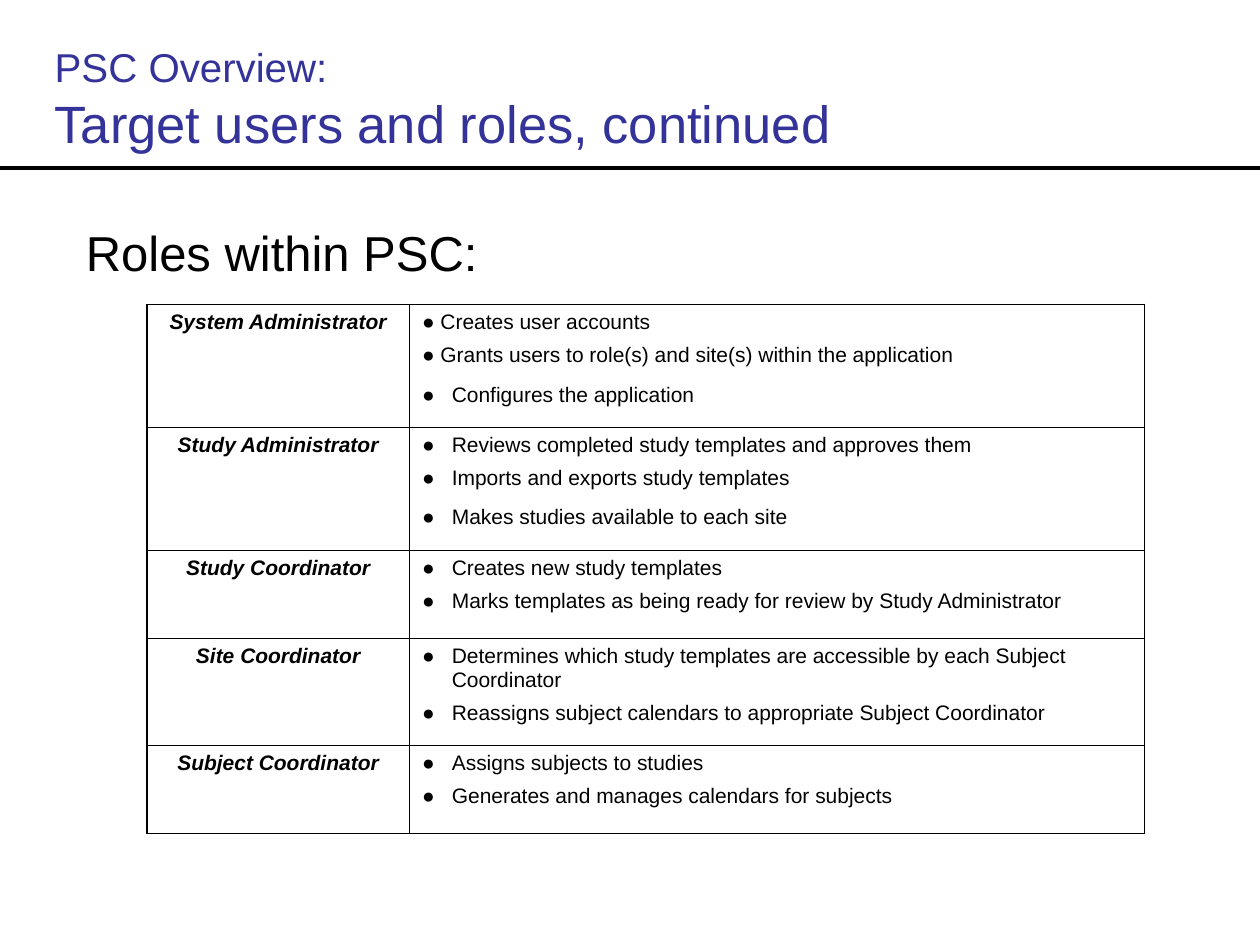
import pptx
import pptx.util
import pptx.dml.color
import pptx.enum.shapes
import pptx.enum.text
import pptx.oxml.ns
import lxml.etree

Pt = pptx.util.Pt
qn = pptx.oxml.ns.qn
Align = pptx.enum.text.PP_ALIGN

TITLE = [("PSC Overview:", "small"), ("Target users and roles, continued", "title")]
HEAD = "Roles within PSC:"
WIDE, TIGHT = 17, 10.5
ROLES = [
    ("System Administrator", 70.2, [
        ("Creates user accounts", TIGHT),
        ("Grants users to role(s) and site(s) within the application", TIGHT),
        ("Configures the application", WIDE)]),
    ("Study Administrator", 70.2, [
        ("Reviews completed study templates and approves them", WIDE),
        ("Imports and exports study templates", WIDE),
        ("Makes studies available to each site", WIDE)]),
    ("Study Coordinator", 50.4, [
        ("Creates new study templates", WIDE),
        ("Marks templates as being ready for review by Study Administrator", WIDE)]),
    ("Site Coordinator", 61.2, [
        ("Determines which study templates are accessible by each Subject Coordinator", WIDE),
        ("Reassigns subject calendars to appropriate Subject Coordinator", WIDE)]),
    ("Subject Coordinator", 50.4, [
        ("Assigns subjects to studies", WIDE),
        ("Generates and manages calendars for subjects", WIDE)]),
]
COLS = [150, 420]
THEME = {
    "font": "Arial", "ink": "000000", "blue": "333399",
    "small": 23, "title": 30, "head": 28, "cell": 12,
    "rule": 2.25, "outer": 1.08, "inner": 0.45,
}


def color(name):
    return pptx.dml.color.RGBColor.from_string(THEME[name])


def write(para, text, size, ink="ink", strong=False):
    run = para.add_run()
    run.text = text
    font = run.font
    font.name = THEME["font"]
    font.size = Pt(THEME[size])
    font.bold = font.italic = strong
    font.color.rgb = color(ink)


def bullet(para, indent):
    props = para._p.get_or_add_pPr()
    props.set("marL", str(Pt(indent)))
    props.set("indent", str(-Pt(indent)))
    lxml.etree.SubElement(props, qn("a:buFont"), typeface=THEME["font"])
    lxml.etree.SubElement(props, qn("a:buChar"), char="●")


def border(cell, row, col):
    props = cell._tc.get_or_add_tcPr()
    edges = {
        "L": col == 0, "R": col == len(COLS) - 1,
        "T": row == 0, "B": row == len(ROLES) - 1,
    }
    for side, outer in edges.items():
        width = Pt(THEME["outer" if outer else "inner"])
        line = lxml.etree.SubElement(props, qn("a:ln" + side), w=str(width))
        fill = lxml.etree.SubElement(line, qn("a:solidFill"))
        lxml.etree.SubElement(fill, qn("a:srgbClr"), val=THEME["ink"])
    cell.fill.background()


def add_title(slide):
    shape = slide.shapes.title
    shape.left, shape.top, shape.width, shape.height = Pt(24), Pt(30), Pt(648), Pt(52)
    frame = shape.text_frame
    frame.auto_size = pptx.enum.text.MSO_AUTO_SIZE.NONE
    frame.vertical_anchor = pptx.enum.text.MSO_ANCHOR.MIDDLE
    para = frame.paragraphs[0]
    para.alignment = Align.LEFT
    for index, (text, size) in enumerate(TITLE):
        if index:
            para.add_line_break()
        write(para, text, size, "blue")


def add_rule(slide):
    line = slide.shapes.add_connector(
        pptx.enum.shapes.MSO_CONNECTOR.STRAIGHT, 0, Pt(96), Pt(720), Pt(96))
    line.line.color.rgb = color("ink")
    line.line.width = Pt(THEME["rule"])
    lxml.etree.SubElement(line._element.spPr, qn("a:effectLst"))


def add_head(slide):
    frame = slide.shapes.add_textbox(Pt(42), Pt(120), Pt(648), Pt(354)).text_frame
    frame.word_wrap = True
    frame.margin_top = Pt(7)
    write(frame.paragraphs[0], HEAD, "head")


def add_roles(slide):
    high = sum(height for _, height, _ in ROLES)
    table = slide.shapes.add_table(
        len(ROLES), len(COLS), Pt(84), Pt(174), Pt(sum(COLS)), Pt(high)).table
    table.first_row = table.horz_banding = False
    for col, width in enumerate(COLS):
        table.columns[col].width = Pt(width)
    for row, (role, height, tasks) in enumerate(ROLES):
        table.rows[row].height = Pt(height)
        name, duty = table.cell(row, 0), table.cell(row, 1)
        para = name.text_frame.paragraphs[0]
        para.alignment = Align.CENTER
        para.space_after = Pt(2.4)
        write(para, role, "cell", strong=True)
        frame = duty.text_frame
        for index, (task, indent) in enumerate(tasks):
            para = frame.add_paragraph() if index else frame.paragraphs[0]
            bullet(para, indent)
            para.space_before = Pt(3 if index else 0)
            para.space_after = Pt(6 if index else 2.4)
            write(para, task, "cell")
        for col, cell in enumerate((name, duty)):
            border(cell, row, col)


def main():
    deck = pptx.Presentation()
    deck.slide_width, deck.slide_height = Pt(720), Pt(540)
    slide = deck.slides.add_slide(deck.slide_layouts[5])
    add_rule(slide)
    add_title(slide)
    add_head(slide)
    add_roles(slide)
    deck.save("out.pptx")


if __name__ == "__main__":
    main()
